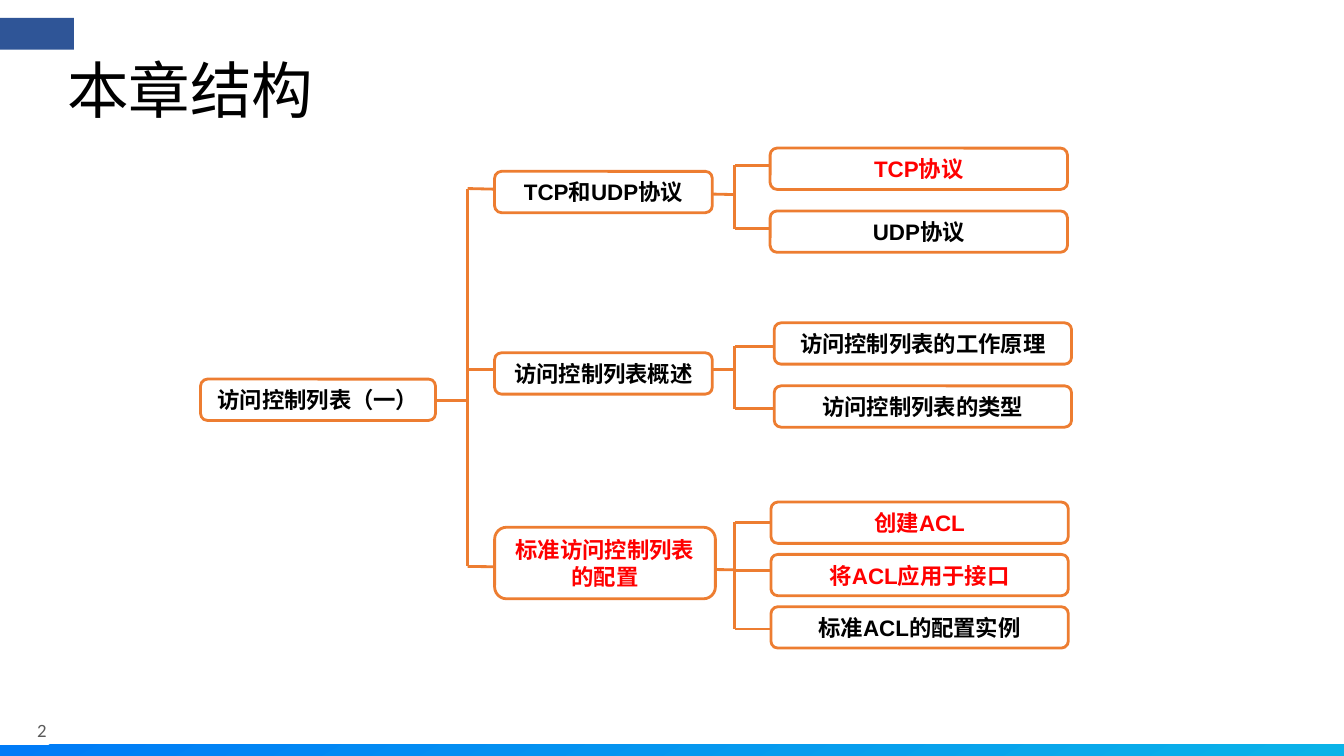
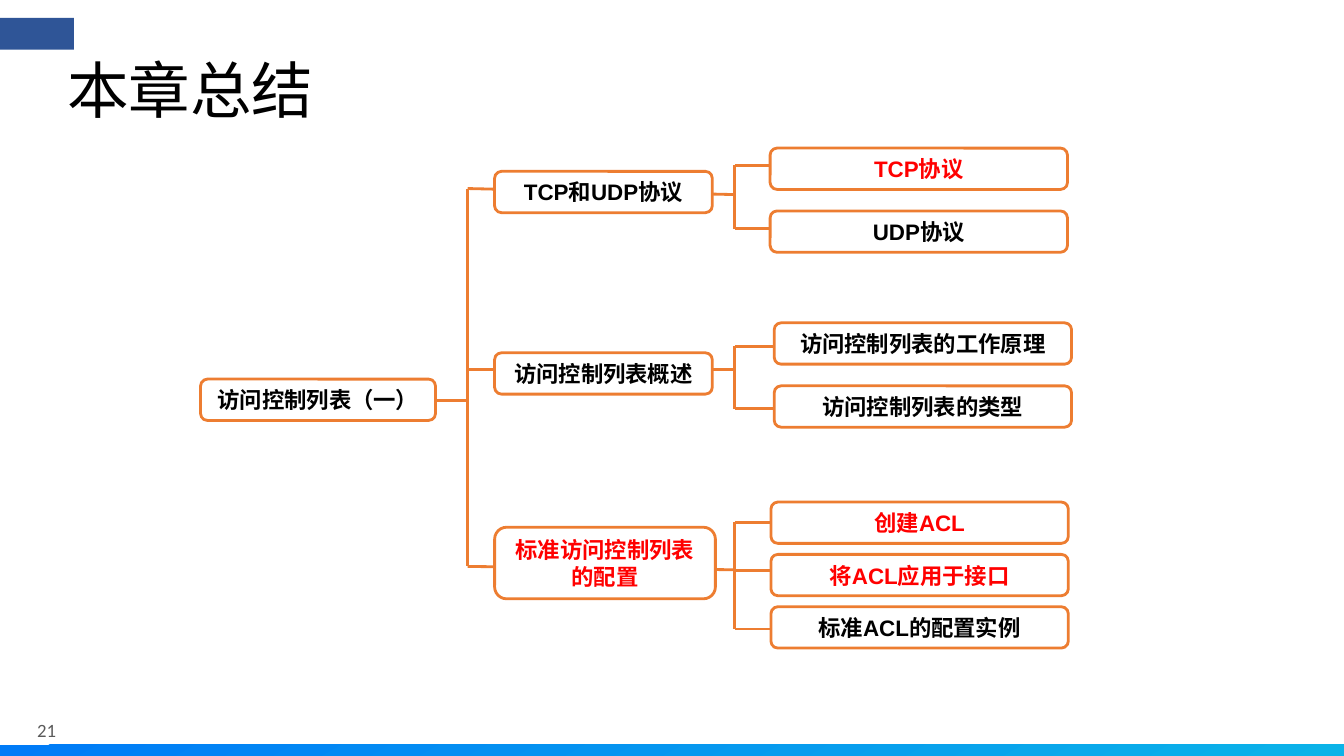
from lxml import etree
from pptx import Presentation
from pptx.dml.color import RGBColor
from pptx.enum import shapes, text
from pptx.oxml import ns
from pptx.util import Pt

COLORS = {
    "text": "000000", "key": "FF0000", "number": "5A5A5A", "paper": "FFFFFF",
    "tree": "ED7D31", "marker": "2F5597", "band_from": "007BF7", "band_to": "0BB3E8",
}
FONT, NUMBER_FONT = "Arial", "Calibri"
SLIDE_W, SLIDE_H = 960, 540

# Tree layout, relative to the tree's box
TREE_BOX = (143.3, 105.8)
LINE_W = 2
NODE_H = 29.5
ROOT = {"label": "访问控制列表（一）", "top": 165, "width": 167.8, "link": 180}
TRUNK_X, BRANCH_X, STEM_X = 190.8, 210, 381.6
LEAF_W = 212.4

# Branch: links are its heights at the trunk and at the stem
# Leaf: label, colour, top, height of its link
BRANCHES = [
    {"label": "TCP和UDP协议", "color": "text", "top": 16.6, "width": 155.5,
     "height": NODE_H, "links": (28.9, 33.2), "leaf_x": 406.8,
     "leaves": [("TCP协议", "key", 0, 12.3), ("UDP协议", "text", 44.9, 57.7)]},
    {"label": "访问控制列表概述", "color": "text", "top": 146.2, "width": 155.5,
     "height": NODE_H, "links": (158.4, 158.4), "leaf_x": 409.7,
     "leaves": [("访问控制列表的工作原理", "text", 124.8, 141.5),
                ("访问控制列表的类型", "text", 169.8, 186.2)]},
    {"label": "标准访问控制列表的配置", "color": "key", "top": 270.8, "width": 157.7,
     "height": 51.1, "links": (298.8, 301.2), "leaf_x": 407.4,
     "leaves": [("创建ACL", "key", 252.8, 267.2),
                ("将ACL应用于接口", "key", 290.2, 301.6),
                ("标准ACL的配置实例", "text", 327.6, 343.5)]},
]


def rgb(name):
    return RGBColor.from_string(COLORS[name])


def style_font(font, size, color, name=FONT, bold=False):
    font.size, font.name, font.bold = Pt(size), name, bold
    font.color.rgb = rgb(color)


def clear_insets(frame):
    frame.margin_left = frame.margin_top = frame.margin_right = frame.margin_bottom = 0
    frame.vertical_anchor = text.MSO_ANCHOR.MIDDLE
    frame.word_wrap = True


def add_bar(slide, left, top, width, height):
    bar = slide.shapes.add_shape(shapes.MSO_SHAPE.RECTANGLE,
                                 Pt(left), Pt(top), Pt(width), Pt(height))
    bar.shadow.inherit = False
    bar.line.fill.background()
    return bar


def add_frame(slide, number):
    # Bottom band
    band = add_bar(slide, 0, SLIDE_H - 8, SLIDE_W, 8)
    band.fill.gradient()
    band.fill.gradient_angle = 300
    for stop, color in zip(band.fill.gradient_stops, ("band_from", "band_to")):
        stop.color.rgb = rgb(color)

    # Corner marker
    marker = add_bar(slide, 0, 12.8, 52.8, 22.7)
    marker.fill.solid()
    marker.fill.fore_color.rgb = rgb("marker")

    # Page number
    page = slide.shapes.add_textbox(Pt(26.6), Pt(513.8), Pt(53), Pt(16)).text_frame
    clear_insets(page)
    page.text = str(number)
    style_font(page.paragraphs[0].font, 13.4, "number", NUMBER_FONT)


def add_title(slide, heading):
    title = slide.shapes.title
    title.left, title.top, title.width, title.height = Pt(48), Pt(21.6), Pt(864), Pt(90)
    frame = title.text_frame
    clear_insets(frame)
    frame.auto_size = text.MSO_AUTO_SIZE.NONE
    frame.text = heading
    line = frame.paragraphs[0]
    line.alignment = text.PP_ALIGN.LEFT
    line.line_spacing = 0.9
    style_font(line.font, 44, "text")


def add_tree(slide, left, top):
    def link(x1, y1, x2, y2):
        connector = slide.shapes.add_connector(
            shapes.MSO_CONNECTOR.STRAIGHT,
            Pt(left + x1), Pt(top + y1), Pt(left + x2), Pt(top + y2))
        connector.line.color.rgb = rgb("tree")
        connector.line.width = Pt(LINE_W)
        etree.SubElement(connector._element.spPr, ns.qn("a:effectLst"))

    def node(label, color, x, y, width, height=NODE_H):
        box = slide.shapes.add_shape(shapes.MSO_SHAPE.ROUNDED_RECTANGLE,
                                     Pt(left + x), Pt(top + y), Pt(width), Pt(height))
        box.shadow.inherit = False
        box.fill.solid()
        box.fill.fore_color.rgb = rgb("paper")
        box.line.color.rgb = rgb("tree")
        box.line.width = Pt(LINE_W)
        frame = box.text_frame
        frame.word_wrap = True
        frame.auto_size = text.MSO_AUTO_SIZE.SHAPE_TO_FIT_TEXT
        frame.vertical_anchor = text.MSO_ANCHOR.MIDDLE
        frame.text = label
        frame.paragraphs[0].alignment = text.PP_ALIGN.CENTER
        style_font(frame.paragraphs[0].font, 16, color, bold=True)

    # Root and trunk
    link(ROOT["width"], ROOT["link"], TRUNK_X, ROOT["link"])
    link(TRUNK_X, BRANCHES[0]["links"][0], TRUNK_X, BRANCHES[-1]["links"][0])
    node(ROOT["label"], "text", 0, ROOT["top"], ROOT["width"])

    # Branches with their leaves
    for branch in BRANCHES:
        leaves, leaf_x = branch["leaves"], branch["leaf_x"]
        trunk_y, stem_y = branch["links"]
        link(TRUNK_X, trunk_y, STEM_X, stem_y)
        link(STEM_X, leaves[0][-1], STEM_X, leaves[-1][-1])
        node(branch["label"], branch["color"], BRANCH_X, branch["top"],
             branch["width"], branch["height"])
        for label, color, leaf_y, link_y in leaves:
            link(STEM_X, link_y, leaf_x, link_y)
            node(label, color, leaf_x, leaf_y, LEAF_W)


def main():
    deck = Presentation()
    deck.slide_width, deck.slide_height = Pt(SLIDE_W), Pt(SLIDE_H)
    title_only = deck.slide_layouts[5]
    for heading, number in (("本章结构", 2), ("本章总结", 21)):
        slide = deck.slides.add_slide(title_only)
        add_frame(slide, number)
        add_title(slide, heading)
        add_tree(slide, *TREE_BOX)
    deck.save("out.pptx")


if __name__ == "__main__":
    main()
